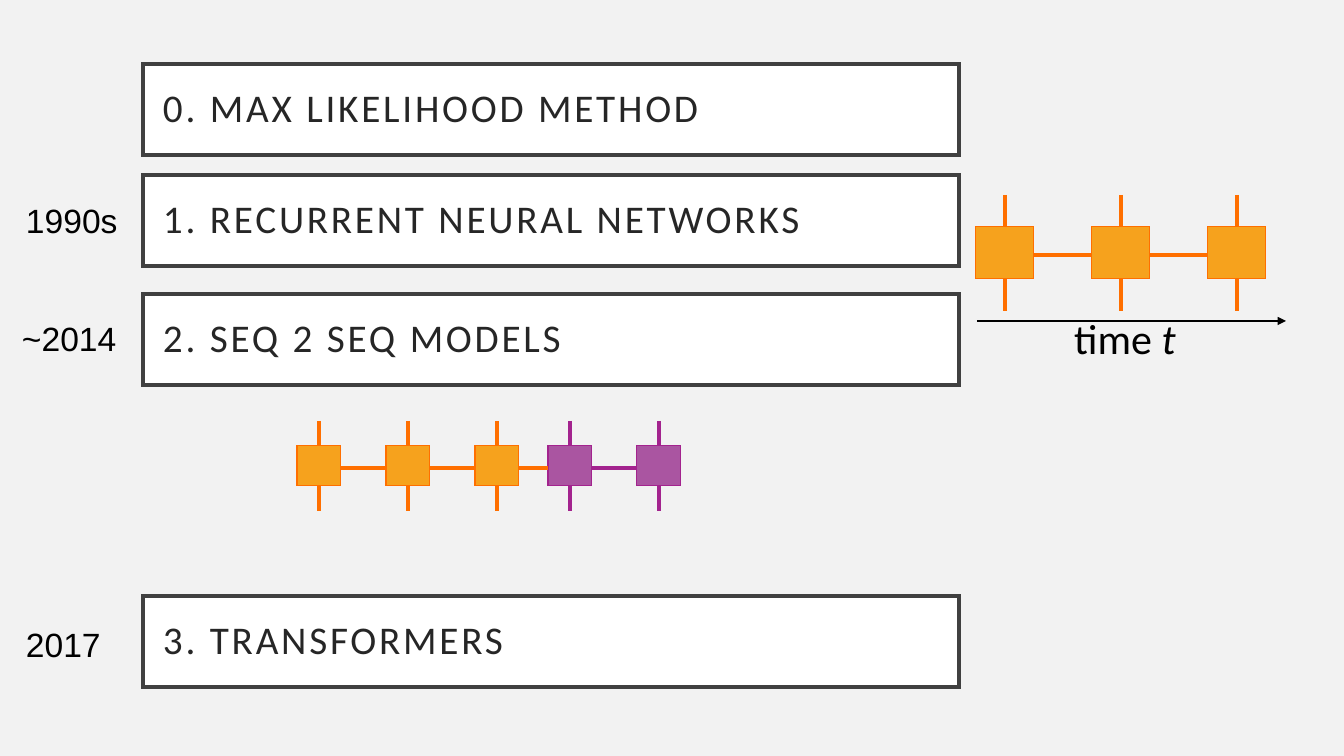
from lxml import etree
from pptx import Presentation
from pptx.dml.color import RGBColor
from pptx.enum.shapes import MSO_CONNECTOR, MSO_SHAPE
from pptx.enum.text import MSO_ANCHOR, MSO_AUTO_SIZE, PP_ALIGN
from pptx.oxml.ns import qn
from pptx.util import Pt

RECT = MSO_SHAPE.RECTANGLE
STRAIGHT = MSO_CONNECTOR.STRAIGHT
TOP, MIDDLE = MSO_ANCHOR.TOP, MSO_ANCHOR.MIDDLE
LEFT, CENTER = PP_ALIGN.LEFT, PP_ALIGN.CENTER
FIXED, GROW = MSO_AUTO_SIZE.NONE, MSO_AUTO_SIZE.SHAPE_TO_FIT_TEXT

BACKGROUND = RGBColor(0xF2, 0xF2, 0xF2)
WHITE = RGBColor(0xFF, 0xFF, 0xFF)
BLACK = RGBColor(0x00, 0x00, 0x00)
FRAME = RGBColor(0x40, 0x40, 0x40)
HEADING = RGBColor(0x26, 0x26, 0x26)
ORANGE = RGBColor(0xF6, 0xA2, 0x1D)
ORANGE_LINE = RGBColor(0xFF, 0x6F, 0x00)
PURPLE = RGBColor(0xAA, 0x55, 0xA1)
PURPLE_LINE = RGBColor(0xA3, 0x23, 0x8E)

PX_PER_INCH = 100.8


def px(length):
    return round(length * 914400 / PX_PER_INCH)


def write(frame, runs, font="Arial", size=24, color=BLACK, align=LEFT,
          anchor=TOP, inset=(0, 0), wrap=False, spacing=None, tracking=0):
    """Fill a text frame with (text, italic) runs."""
    frame.word_wrap = wrap
    frame.auto_size = FIXED if wrap else GROW
    frame.vertical_anchor = anchor
    frame.margin_left = frame.margin_right = px(inset[0])
    frame.margin_top = frame.margin_bottom = px(inset[1])
    paragraph = frame.paragraphs[0]
    paragraph.alignment = align
    if spacing:
        paragraph.line_spacing = spacing
    for text, italic in runs:
        run = paragraph.add_run()
        run.text = text
        run.font.name = font
        run.font.size = Pt(size)
        run.font.italic = italic
        run.font.color.rgb = color
        if tracking:
            run.font._element.set("spc", str(tracking * 100))


class Timeline:
    def __init__(self, slide):
        self.slide = slide
        self.shapes = slide.shapes
        slide.background.fill.solid()
        slide.background.fill.fore_color.rgb = BACKGROUND

    def box(self, left, top, width, height, fill, line, weight=0):
        box = self.shapes.add_shape(RECT, px(left), px(top), px(width), px(height))
        box.shadow.inherit = False
        box.fill.solid()
        box.fill.fore_color.rgb = fill
        box.line.color.rgb = line
        box.line.width = Pt(weight)
        etree.SubElement(box.line._get_or_add_ln(), qn("a:miter"), lim="800000")
        return box

    def line(self, x1, y1, x2, y2, color, weight=3, arrow=False):
        line = self.shapes.add_connector(STRAIGHT, px(x1), px(y1), px(x2), px(y2))
        line.line.color.rgb = color
        line.line.width = Pt(weight)
        if arrow:
            etree.SubElement(line.line._get_or_add_ln(), qn("a:tailEnd"), type="triangle")
        etree.SubElement(line._element.spPr, qn("a:effectLst"))

    def heading(self, top, text):
        box = self.box(143, top, 816, 91, WHITE, FRAME, 2.5)
        write(box.text_frame, [(text, False)], font="Calibri", size=28, color=HEADING,
              anchor=MIDDLE, inset=(20, 20), wrap=True, spacing=0.9, tracking=2)

    def label(self, left, top, width, height, runs, **style):
        box = self.shapes.add_textbox(px(left), px(top), px(width), px(height))
        write(box.text_frame, runs, **style)

    def chain(self, first, middle, count, pitch, size, reach, fill, color):
        """Draw linked cells, each with an input and an output wire."""
        width, height = size
        for step in range(count):
            x = first + step * pitch
            left, top = x - width // 2, middle - height // 2
            self.line(x, middle - reach, x, top, color)
            self.box(left, top, width, height, fill, color)
            self.line(x, top + height, x, middle + reach, color)
            if step < count - 1:
                self.line(left + width, middle + 2, left + pitch, middle + 2, color)


def main():
    prs = Presentation()
    prs.slide_width, prs.slide_height = px(1344), px(756)
    timeline = Timeline(prs.slides.add_slide(prs.slide_layouts[6]))

    # Method headings
    for top, method in [(64, "0. MAX LIKELIHOOD METHOD"),
                        (175, "1. RECURRENT NEURAL NETWORKS"),
                        (294, "2. SEQ 2 SEQ MODELS"),
                        (596, "3. TRANSFORMERS")]:
        timeline.heading(top, method)

    # Years
    for left, top, width, year in [(16, 195, 114, "1990s"),
                                   (12, 313, 118, "~2014"),
                                   (16, 619, 97, "2017")]:
        timeline.label(left, top, width, 47, [(year, False)], inset=(10, 5))

    # Recurrent network with its time axis
    timeline.chain(1005, 253, 3, 116, (58, 52), 58, ORANGE, ORANGE_LINE)
    timeline.line(977, 321, 1286, 321, BLACK, weight=0, arrow=True)
    timeline.label(1064, 313, 122, 51, [("time ", False), ("t", True)],
                   font="Calibri", size=30, align=CENTER)

    # Encoder and decoder, joined
    cell = (44, 40)
    timeline.chain(319, 466, 3, 89, cell, 45, ORANGE, ORANGE_LINE)
    timeline.chain(570, 466, 2, 89, cell, 45, PURPLE, PURPLE_LINE)
    timeline.line(519, 468, 548, 468, ORANGE_LINE)

    prs.save("out.pptx")


if __name__ == "__main__":
    main()
